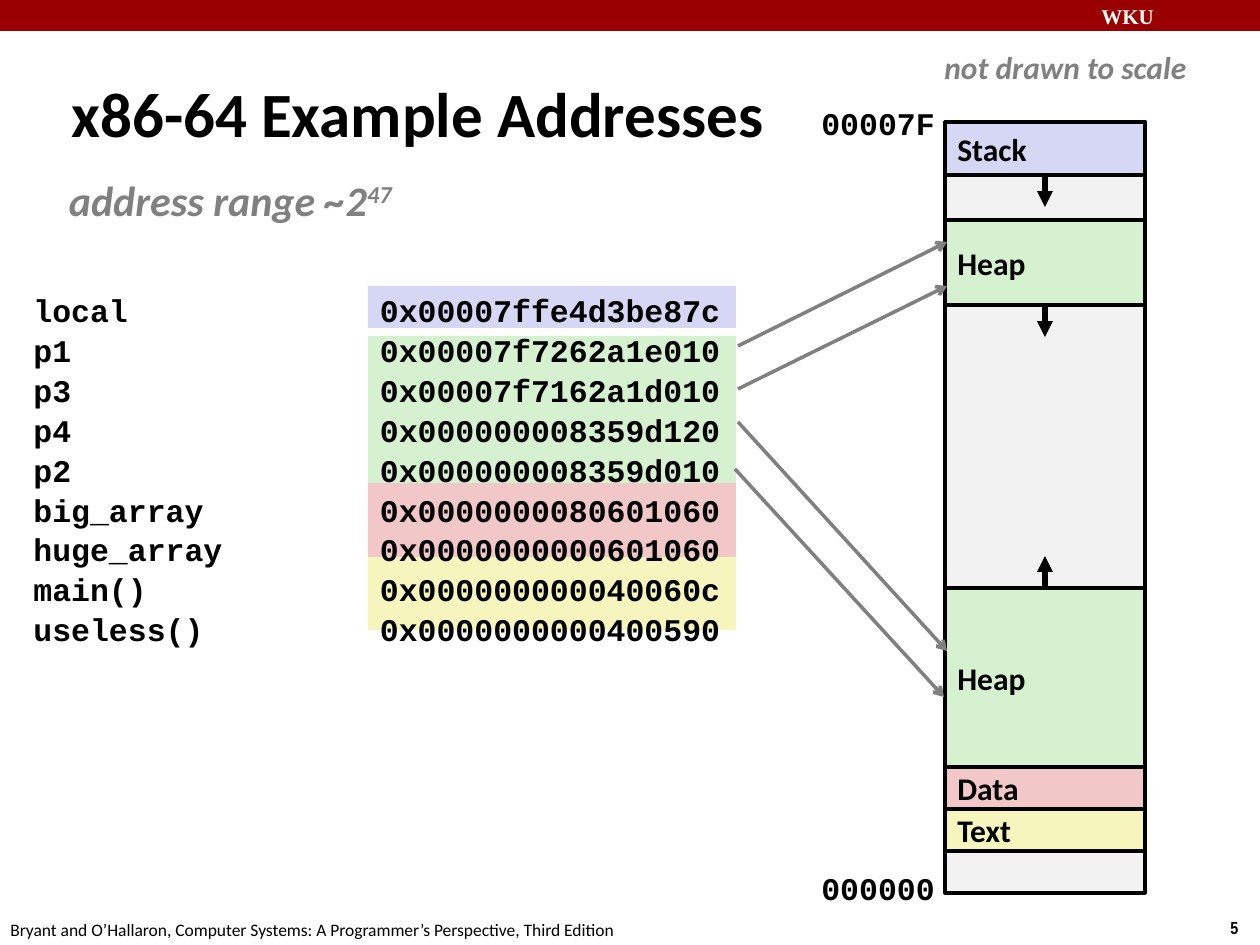
from lxml import etree
from pptx import Presentation
from pptx.dml.color import RGBColor
from pptx.enum.shapes import MSO_CONNECTOR, MSO_SHAPE
from pptx.enum.text import MSO_ANCHOR, PP_ALIGN
from pptx.oxml.ns import qn
from pptx.util import Emu, Pt

RECTANGLE = MSO_SHAPE.RECTANGLE
STRAIGHT = MSO_CONNECTOR.STRAIGHT
MIDDLE, TOP = MSO_ANCHOR.MIDDLE, MSO_ANCHOR.TOP
LEFT = PP_ALIGN.LEFT
TOP_SIDE, BOTTOM_SIDE = 0, 2

PX_PER_INCH = 126
SANS, MONO, SERIF, NARROW = "Calibri", "Courier New", "Times New Roman", "Arial Narrow"
BLACK, GRAY, WHITE, RED = "000000", "808080", "FFFFFF", "990000"
STACK, HEAP, DATA, TEXT, UNUSED = "D6D6F5", "D5F1CF", "F1C7C7", "F6F5BD", "F2F2F2"

ADDRESSES = [
    ("local", "0x00007ffe4d3be87c"),
    ("p1", "0x00007f7262a1e010"),
    ("p3", "0x00007f7162a1d010"),
    ("p4", "0x000000008359d120"),
    ("p2", "0x000000008359d010"),
    ("big_array", "0x0000000080601060"),
    ("huge_array", "0x0000000000601060"),
    ("main()", "0x000000000040060c"),
    ("useless()", "0x0000000000400590"),
]


def px(length):
    return Emu(round(length * 914400 / PX_PER_INCH))


def color(value):
    return RGBColor.from_string(value)


def add_span(para, text, size, font=SANS, ink=BLACK, bold=True, italic=False):
    span = para.add_run()
    span.text = text
    span.font.size = Pt(size)
    span.font.name = font
    span.font.bold = bold
    span.font.italic = italic
    span.font.color.rgb = color(ink)
    return span


def add_text_box(page, box, wrap=False, anchor=TOP):
    """Add an empty text box and return its text frame."""
    frame = page.shapes.add_textbox(*map(px, box)).text_frame
    frame.word_wrap = wrap
    frame.vertical_anchor = anchor
    return frame


def add_label(page, box, text, size, **style):
    add_span(add_text_box(page, box).paragraphs[0], text, size, **style)


def add_rectangle(page, box, fill, outlined=False):
    shape = page.shapes.add_shape(RECTANGLE, *map(px, box))
    shape.shadow.inherit = False
    shape.fill.solid()
    shape.fill.fore_color.rgb = color(fill)
    if outlined:
        shape.line.color.rgb = color(BLACK)
        shape.line.width = Pt(2)
    else:
        shape.line.fill.background()
    return shape


def add_arrow(page, start, end, ink, width, head):
    arrow = page.shapes.add_connector(STRAIGHT, *map(px, (*start, *end)))
    arrow.line.color.rgb = color(ink)
    arrow.line.width = Pt(width)
    properties = arrow._element.spPr
    etree.SubElement(properties.find(qn("a:ln")), qn("a:tailEnd"), type=head)
    etree.SubElement(properties, qn("a:effectLst"))
    return arrow


def add_frame(page, width, height):
    """Add the top bar, the footer and the page number."""
    add_rectangle(page, (0, 0, width, 31), RED)
    add_label(page, (width - 171, -3, 180, 38), "WKU", 12, font=SERIF, ink=WHITE)
    add_label(page, (width - 42, height - 34, 43, 34), "5", 10, font=NARROW)
    add_label(page, (-2, height - 32, 640, 34),
              "Bryant and O’Hallaron, Computer Systems: A Programmer’s Perspective, Third Edition",
              10, bold=False)


def add_heading(page, left, top):
    title = add_text_box(page, (left, top, 906, 79), wrap=True, anchor=MIDDLE)
    add_span(title.paragraphs[0], "x86-64 Example Addresses", 36)
    subtitle = add_text_box(page, (left + 4, top + 95, 341, 64))
    subtitle.margin_left = subtitle.margin_right = px(6)
    para = subtitle.paragraphs[0]
    add_span(para, "address range ~2", 24, ink=GRAY, italic=True)
    exponent = add_span(para, "47", 24, ink=GRAY, italic=True)
    exponent.font._element.set("baseline", "30000")


def add_address_list(page, left, top, width, height):
    """Add names and addresses, the addresses on bands coloured by memory region."""
    bands = [(272, 73, TEXT), (198, 74, DATA), (1, 42, STACK), (51, 147, HEAP)]
    for offset, band_height, fill in bands:
        add_rectangle(page, (left + 347, top + offset, 368, band_height), fill)
    frame = add_text_box(page, (left, top, width, height), wrap=True)
    for index, (name, address) in enumerate(ADDRESSES):
        para = frame.add_paragraph() if index else frame.paragraphs[0]
        tabs = etree.SubElement(para._p.get_or_add_pPr(), qn("a:tabLst"))
        etree.SubElement(tabs, qn("a:tab"), pos=str(px(346.5)), algn="l")
        para.space_after = Pt(1.2)
        add_span(para, f"{name}\t{address}", 18, font=MONO)


def add_memory_map(page, left, top, width, height):
    """Add the address space, its sections and the directions they grow in."""
    add_label(page, (left - 13, top - 80, 268, 50), "not drawn to scale", 18,
              ink=GRAY, italic=True)
    for label, offset in (("00007F", -24), ("000000", height - 30)):
        add_label(page, (left - 136, top + offset, 140, 50), label, 18, font=MONO)
    add_rectangle(page, (left, top, width, height), UNUSED, outlined=True)
    sections = [  # label, offset, height, fill, side it grows from, growth
        ("Text", 687, 42, TEXT, None, 0),
        ("Data", 645, 42, DATA, None, 0),
        ("Heap", 466, 179, HEAP, TOP_SIDE, -32),
        ("Heap", 98, 85, HEAP, BOTTOM_SIDE, 32),
        ("Stack", 0, 53, STACK, BOTTOM_SIDE, 32),
    ]
    center = left + width / 2
    for label, offset, section_height, fill, side, growth in sections:
        section = add_rectangle(page, (left, top + offset, width, section_height),
                                fill, outlined=True)
        frame = section.text_frame
        frame.word_wrap = True
        frame.vertical_anchor = MIDDLE
        frame.paragraphs[0].alignment = LEFT
        add_span(frame.paragraphs[0], label, 18)
        if side is not None:
            edge = top + offset + (section_height if side == BOTTOM_SIDE else 0)
            arrow = add_arrow(page, (center, edge), (center, edge + growth),
                              BLACK, 3, "triangle")
            arrow.begin_connect(section, side)


def add_pointers(page, left, top, width):
    """Add the arrows from the heap addresses to the two heaps."""
    pointers = [(0, 104, 0), (0, 147, 44), (0, 180, 409), (-3, 227, 455)]
    for shift, start, end in pointers:
        add_arrow(page, (left + shift, top + start), (left + shift + width, top + end),
                  GRAY, 2, "arrow")


def main():
    deck = Presentation()
    deck.slide_width, deck.slide_height = px(1260), px(945)
    page = deck.slides.add_slide(deck.slide_layouts[6])
    add_frame(page, 1260, 945)
    add_heading(page, 59, 73)
    add_address_list(page, 21, 285, 777, 355)
    add_memory_map(page, 945, 122, 200, 771)
    add_pointers(page, 738, 242, 209)
    deck.save("out.pptx")


if __name__ == "__main__":
    main()
